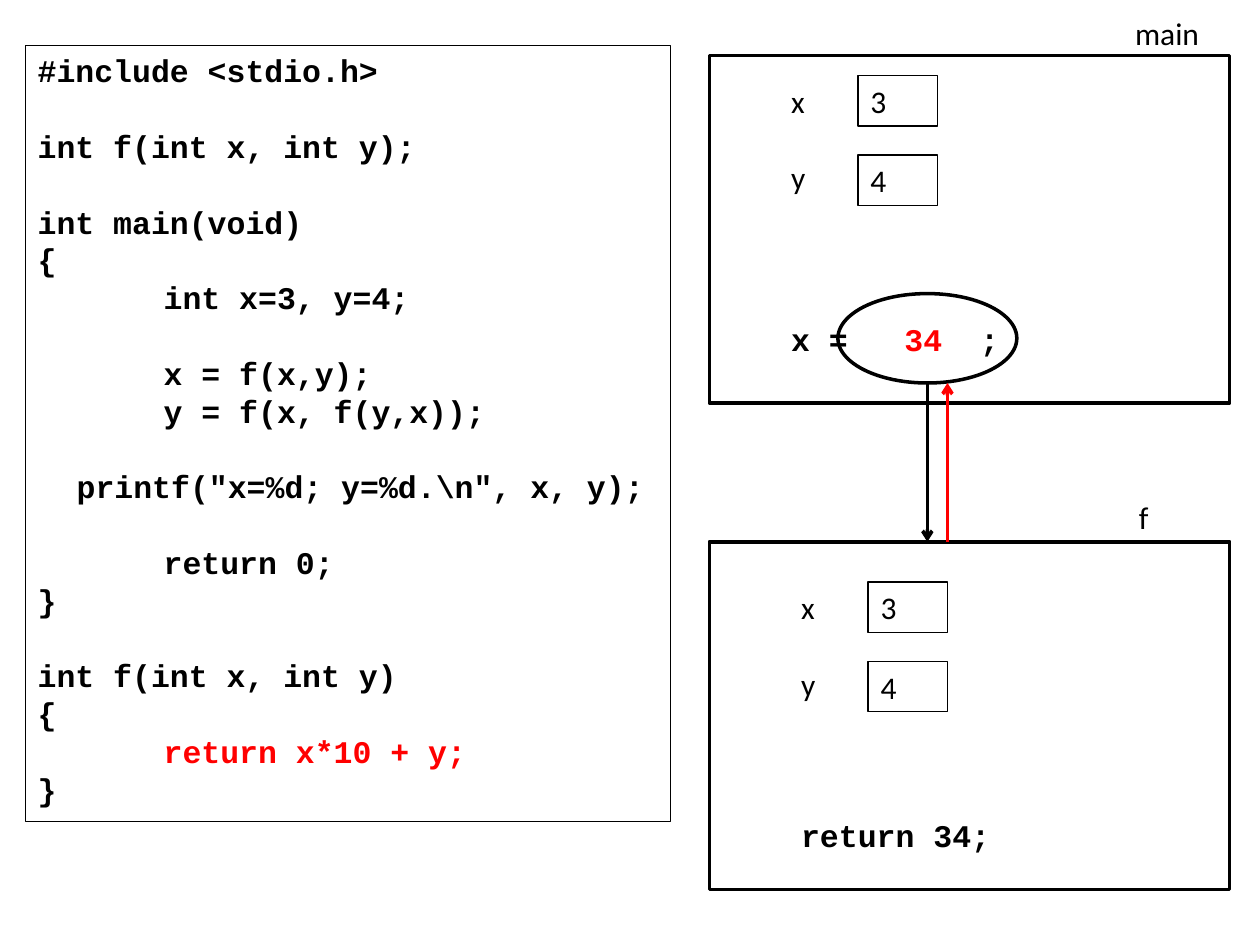
import pptx
import pptx.dml.color
import pptx.enum.shapes
import pptx.enum.text
import pptx.oxml
import pptx.oxml.ns
import pptx.util
from pptx.util import Inches

Pt = pptx.util.Pt
SHAPE = pptx.enum.shapes.MSO_SHAPE
BLACK = pptx.dml.color.RGBColor(0, 0, 0)
WHITE = pptx.dml.color.RGBColor(255, 255, 255)
RED = pptx.dml.color.RGBColor(255, 0, 0)

# Content: a paragraph is a list of (text, colour) runs; None is a blank line
CODE = [
    "#include <stdio.h>", None,
    "int f(int x, int y);", None,
    "int main(void)", "{", "\t\tint x=3, y=4;", None,
    "\t\tx = f(x,y);", "\t\ty = f(x, f(y,x));", None,
    "\tprintf(″x=%d; y=%d.\\n″, x, y);", None,
    "\t\treturn 0;", "}", None,
    "int f(int x, int y)", "{",
    [("\t\t", BLACK), ("return x*10 + y;", RED)], "}",
]
VARIABLES = [("x", "3"), ("y", "4")]
FRAMES = [
    dict(name="main", name_at=(8.91, 0.06), top=0.44, names_at=(6.18, 0.6),
         cells_left=6.81, code_at=(6.18, 2.49), code_width=2.36,
         code=[("x =\t", BLACK), ("34\t", RED), (";", BLACK)], tabs=(0.9, 1.5)),
    dict(name="f", name_at=(8.94, 3.9), top=4.3, names_at=(6.26, 4.62),
         cells_left=6.89, code_at=(6.26, 6.43), code_width=2.76,
         code="return 34;", tabs=()),
]
FRAME_LEFT, FRAME_W, FRAME_H = 5.63, 4.13, 2.76
CELL_W, CELL_H, CELL_STEP = 0.63, 0.4, 0.63
CALL = (6.65, 2.33, 1.42, 0.71)
BODY = dict(size=Pt(18), name="Calibri", bold=False)
MONO = dict(size=Pt(18), name="Courier New", bold=True)

prs = pptx.Presentation()
prs.slide_width, prs.slide_height = Inches(10), Inches(7.5)
s = prs.slides.add_slide(prs.slide_layouts[6])


def write(sp, lines, style, gap=22, leading=None, tabs=()):
    tf = sp.text_frame
    layout = dict(word_wrap=True, vertical_anchor=pptx.enum.text.MSO_ANCHOR.TOP)
    for key, value in layout.items():
        setattr(tf, key, value)
    p, blank = None, False
    for line in lines:
        if line is None:
            blank = True
            continue
        p = tf.paragraphs[0] if p is None else tf.add_paragraph()
        spacing = dict(alignment=pptx.enum.text.PP_ALIGN.LEFT,
                       line_spacing=Pt(leading) if leading else None,
                       space_before=Pt(gap if blank else 0))
        for key, value in spacing.items():
            setattr(p, key, value)
        blank = False
        if tabs:
            stops = "".join(f'<a:tab pos="{Inches(t)}" algn="l"/>' for t in tabs)
            p._p.get_or_add_pPr().append(pptx.oxml.parse_xml(
                f'<a:tabLst {pptx.oxml.ns.nsdecls("a")}>{stops}</a:tabLst>'))
        for text, color in [(line, BLACK)] if isinstance(line, str) else line:
            r = p.add_run()
            r.text = text
            for key, value in style.items():
                setattr(r.font, key, value)
            r.font.color.rgb = color


def add_outline(kind, box, width, fill=None):
    sp = s.shapes.add_shape(kind, *map(Inches, box))
    sp.shadow.inherit = False
    if fill is None:
        sp.fill.background()
    else:
        sp.fill.solid()
        sp.fill.fore_color.rgb = fill
    sp.line.color.rgb = BLACK
    sp.line.width = Pt(width)
    return sp


def add_text(box, lines, style, **options):
    write(s.shapes.add_textbox(*map(Inches, box)), lines, style, **options)


def add_arrow(x, start, end, color):
    line = s.shapes.add_connector(pptx.enum.shapes.MSO_CONNECTOR.STRAIGHT,
                                  *map(Inches, (x, start, x, end)))
    line.line.color.rgb = color
    line.line.width = Pt(2)
    line.line._get_or_add_ln().append(pptx.oxml.parse_xml(
        f'<a:tailEnd {pptx.oxml.ns.nsdecls("a")} type="arrow"/>'))
    line._element.spPr.append(pptx.oxml.parse_xml(
        f'<a:effectLst {pptx.oxml.ns.nsdecls("a")}/>'))


# Program listing
listing = add_outline(SHAPE.RECTANGLE, (0.2, 0.36, 5.12, 6.16), 0.75)
write(listing, CODE, MONO, gap=21.6, leading=21.6, tabs=(0.31, 1))

# Stack frames with their variables and current statement
for frame in FRAMES:
    add_outline(SHAPE.RECTANGLE, (FRAME_LEFT, frame["top"], FRAME_W, FRAME_H), 2, WHITE)
    add_text((*frame["name_at"], 0.79, 0.4), [frame["name"]], BODY)
    add_text((*frame["code_at"], frame["code_width"], 0.4), [frame["code"]], MONO,
             tabs=frame["tabs"])
    names = [name for name, _ in VARIABLES]
    add_text((*frame["names_at"], 0.51, 1.01), [names[0], None, names[1]], BODY)
    for i, (_, value) in enumerate(VARIABLES):
        top = frame["names_at"][1] + i * CELL_STEP
        cell = add_outline(SHAPE.RECTANGLE,
                           (frame["cells_left"], top, CELL_W, CELL_H), 0.75)
        write(cell, [value], BODY)

# Function call and returned value
add_outline(SHAPE.OVAL, CALL, 2)
call_x, call_bottom = CALL[0] + CALL[2] / 2, CALL[1] + CALL[3]
f_top = FRAMES[1]["top"]
add_arrow(call_x, call_bottom, f_top, BLACK)
add_arrow(call_x + 0.16, f_top, call_bottom, RED)

prs.save("out.pptx")
